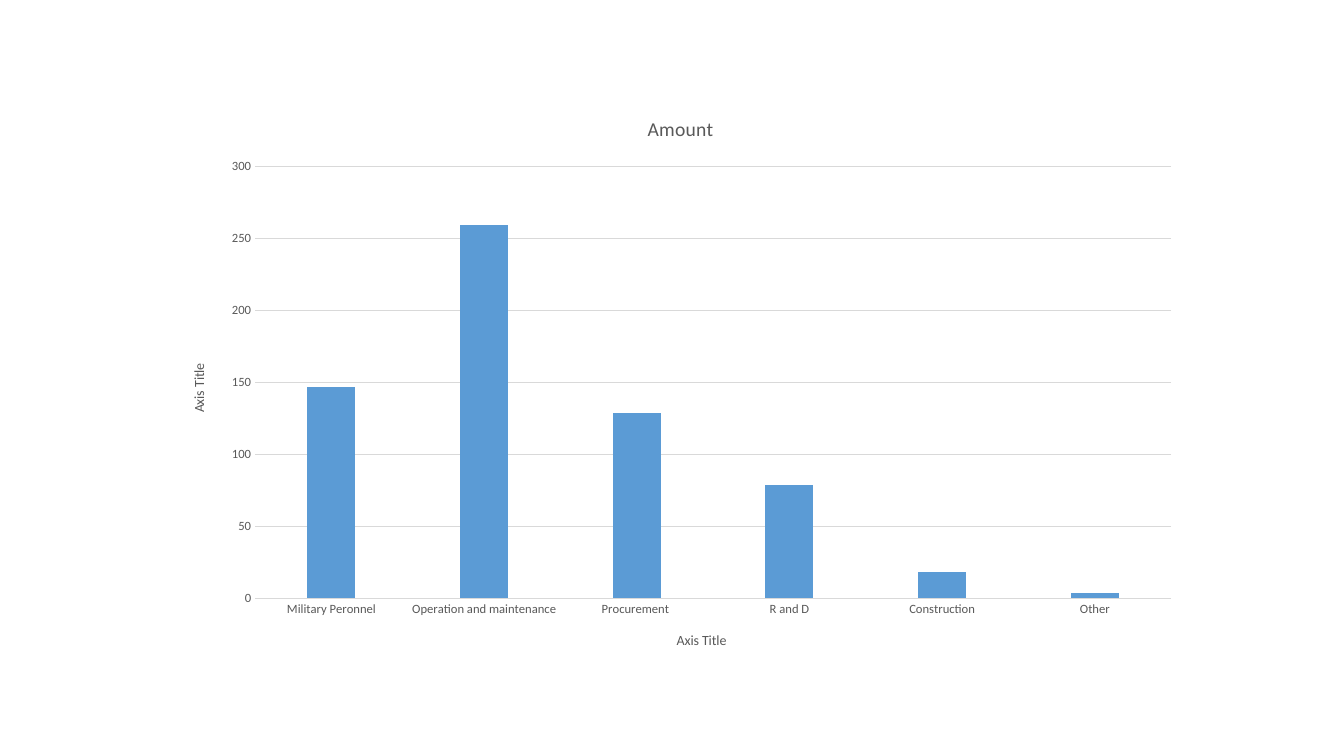
from dataclasses import dataclass

from pptx import Presentation
from pptx.chart.data import CategoryChartData
from pptx.dml.color import RGBColor
from pptx.enum.chart import XL_CHART_TYPE, XL_TICK_MARK
from pptx.util import Cm, Pt

COLUMNS = XL_CHART_TYPE.COLUMN_CLUSTERED
NO_TICK = XL_TICK_MARK.NONE


@dataclass(frozen=True)
class Theme:
    font: str = "Calibri"
    text: RGBColor = RGBColor(0x59, 0x59, 0x59)
    rule: RGBColor = RGBColor(0xD9, 0xD9, 0xD9)
    bar: RGBColor = RGBColor(0x5B, 0x9B, 0xD5)
    title_size: Pt = Pt(14)
    axis_title_size: Pt = Pt(10)
    label_size: Pt = Pt(9)
    rule_width: Pt = Pt(0.75)


THEME = Theme()


def style_font(font, size):
    for name, value in {"name": THEME.font, "size": size, "bold": False}.items():
        setattr(font, name, value)
    font.color.rgb = THEME.text


def write_title(title, text, size):
    title.text_frame.text = text
    style_font(title.text_frame.paragraphs[0].runs[0].font, size)


# Slide
deck = Presentation()
deck.slide_width, deck.slide_height = Cm(33.87), Cm(19.05)
blank = next(layout for layout in deck.slide_layouts if layout.name == "Blank")
slide = deck.slides.add_slide(blank)

# Spending by category
amounts = {
    "Military Peronnel": 147,
    "Operation and maintenance": 259,
    "Procurement ": 129,
    "R and D": 79,
    "Construction": 18,
    "Other": 4,
}
spending = CategoryChartData()
spending.categories = list(amounts)
spending.add_series("Amount", list(amounts.values()))

# Column chart
chart = slide.shapes.add_chart(
    COLUMNS, Cm(4.27), Cm(2.39), Cm(25.76), Cm(14.48), spending
).chart
style_font(chart.font, THEME.axis_title_size)
chart.has_legend = False
write_title(chart.chart_title, "Amount", THEME.title_size)

columns = chart.plots[0]
for name, value in {"gap_width": 219, "overlap": -27, "vary_by_categories": False}.items():
    setattr(columns, name, value)
amount_fill = columns.series[0].format.fill
amount_fill.solid()
amount_fill.fore_color.rgb = THEME.bar

# Axes
category_axis, amount_axis = chart.category_axis, chart.value_axis
axis_format = {"major_tick_mark": NO_TICK, "minor_tick_mark": NO_TICK}
amount_scale = {
    "minimum_scale": 0,
    "maximum_scale": 300,
    "major_unit": 50,
    "has_major_gridlines": True,
}
for axis, settings in (
    (category_axis, axis_format),
    (amount_axis, axis_format | amount_scale),
):
    for name, value in settings.items():
        setattr(axis, name, value)
    style_font(axis.tick_labels.font, THEME.label_size)
    write_title(axis.axis_title, "Axis Title", THEME.axis_title_size)

# Axis line and gridlines
for line in (category_axis.format.line, amount_axis.major_gridlines.format.line):
    line.color.rgb = THEME.rule
    line.width = THEME.rule_width
amount_axis.format.line.fill.background()

deck.save("out.pptx")
